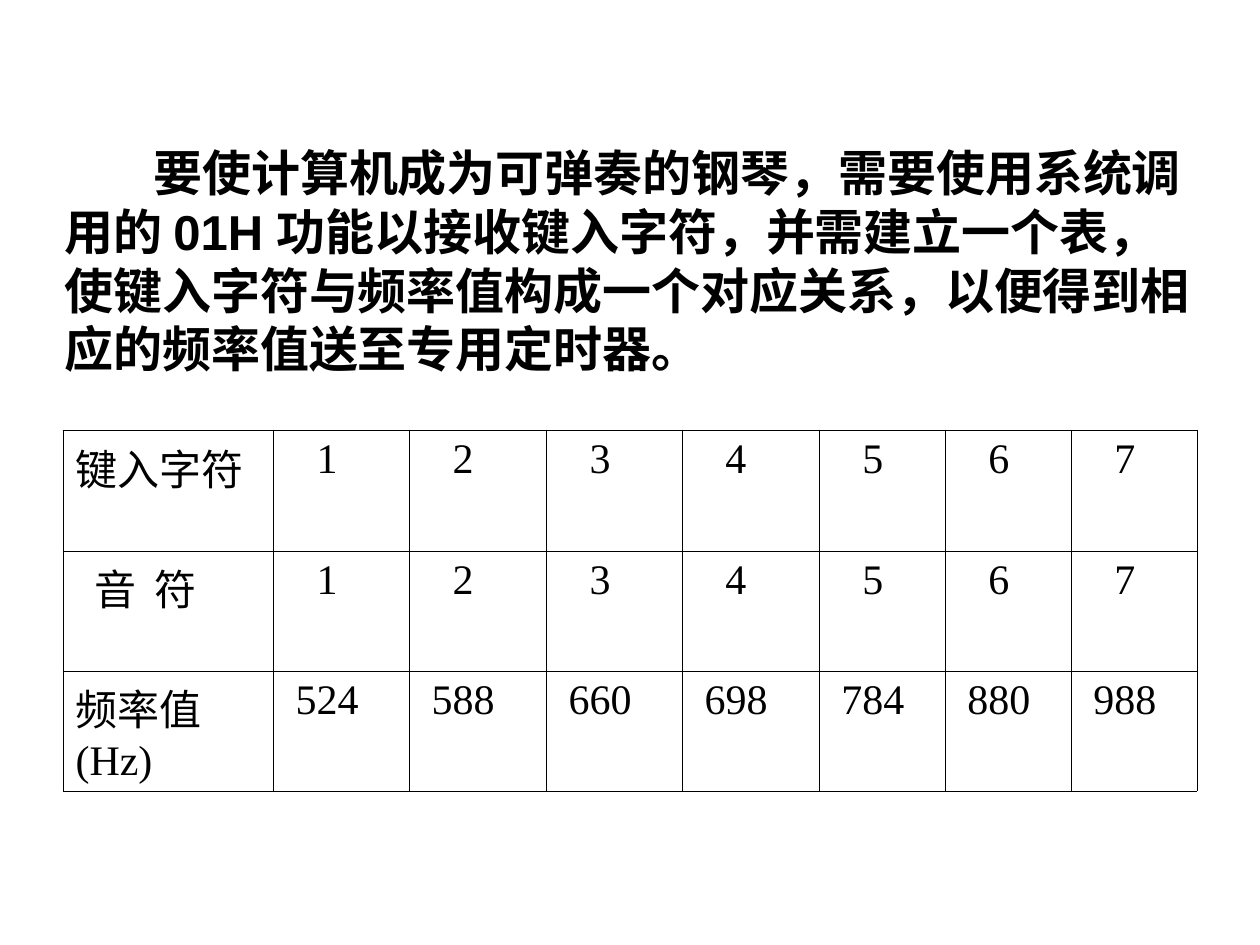
from dataclasses import dataclass

from lxml.etree import SubElement
from pptx import Presentation
from pptx.dml.color import RGBColor
from pptx.enum.text import MSO_ANCHOR, MSO_AUTO_SIZE
from pptx.oxml.ns import qn
from pptx.util import Emu, Pt

BLACK = RGBColor(0, 0, 0)
BODY_FONT = "Arial"
GRID_FONT = "Times New Roman"
SCALE = 914400 / 126
COLS = [210, 136, 137, 136, 137, 126, 126, 126]
ROWS = [121, 120, 120]
INTRO = (
    "要使计算机成为可弹奏的钢琴，需要使用系统调用的 01H 功能以接收键入字符，"
    "并需建立一个表，使键入字符与频率值构成一个对应关系，"
    "以便得到相应的频率值送至专用定时器。"
)


@dataclass
class Row:
    label: list[str]
    inset: int
    values: list[int]
    shift: int


NOTES = [
    Row(["键入字符"], 0, list(range(1, 8)), 31),
    Row(["音 符"], 19, list(range(1, 8)), 31),
    Row(["频率值", "(Hz)"], 0, [524, 588, 660, 698, 784, 880, 988], 10),
]


def px(size: int) -> Emu:
    return Emu(round(size * SCALE))


def add_run(para, text: str, font: str, size: int, bold: bool = False):
    run = para.add_run()
    run.text = text
    run.font.name = font
    run.font.size = Pt(size)
    run.font.bold = bold
    run.font.color.rgb = BLACK
    return run


def add_intro(slide) -> None:
    box = slide.shapes.add_textbox(px(52), px(136), px(1166), px(248))
    frame = box.text_frame
    frame.word_wrap = True
    frame.auto_size = MSO_AUTO_SIZE.SHAPE_TO_FIT_TEXT
    frame.vertical_anchor = MSO_ANCHOR.MIDDLE
    para = frame.paragraphs[0]
    para._p.get_or_add_pPr().set("indent", str(px(89)))
    add_run(para, INTRO, BODY_FONT, 28, bold=True)


def add_border(cell) -> None:
    props = cell._tc.get_or_add_tcPr()
    for side in ("a:lnL", "a:lnR", "a:lnT", "a:lnB"):
        line = SubElement(props, qn(side), w=str(Pt(0.45)))
        fill = SubElement(line, qn("a:solidFill"))
        SubElement(fill, qn("a:srgbClr"), val=str(BLACK))


def fill_cell(cell, lines: list[str], inset: int) -> None:
    add_border(cell)
    cell.fill.background()
    frame = cell.text_frame
    for index, line in enumerate(lines):
        para = frame.add_paragraph() if index else frame.paragraphs[0]
        para._p.get_or_add_pPr().set("marL", str(px(inset)))
        for part in filter(None, line.partition(" ")):
            run = add_run(para, part, GRID_FONT, 24)
            if part == " ":
                run.font._element.set("spc", "500")  # widens the gap by 5 pt


def add_grid(slide) -> None:
    frame = slide.shapes.add_table(
        len(ROWS), len(COLS), px(63), px(430), px(sum(COLS)), px(sum(ROWS))
    )
    table = frame.table
    table.first_row = False
    table.horz_banding = False
    for col, width in zip(table.columns, COLS):
        col.width = px(width)
    for line, height, row in zip(table.rows, ROWS, NOTES):
        line.height = px(height)
        label, *cells = line.cells
        fill_cell(label, row.label, row.inset)
        for cell, value in zip(cells, row.values):
            fill_cell(cell, [str(value)], row.shift)


def main() -> None:
    deck = Presentation()
    deck.slide_width = px(1260)
    deck.slide_height = px(945)
    slide = deck.slides.add_slide(deck.slide_layouts[6])
    add_intro(slide)
    add_grid(slide)
    deck.save("out.pptx")


if __name__ == "__main__":
    main()
